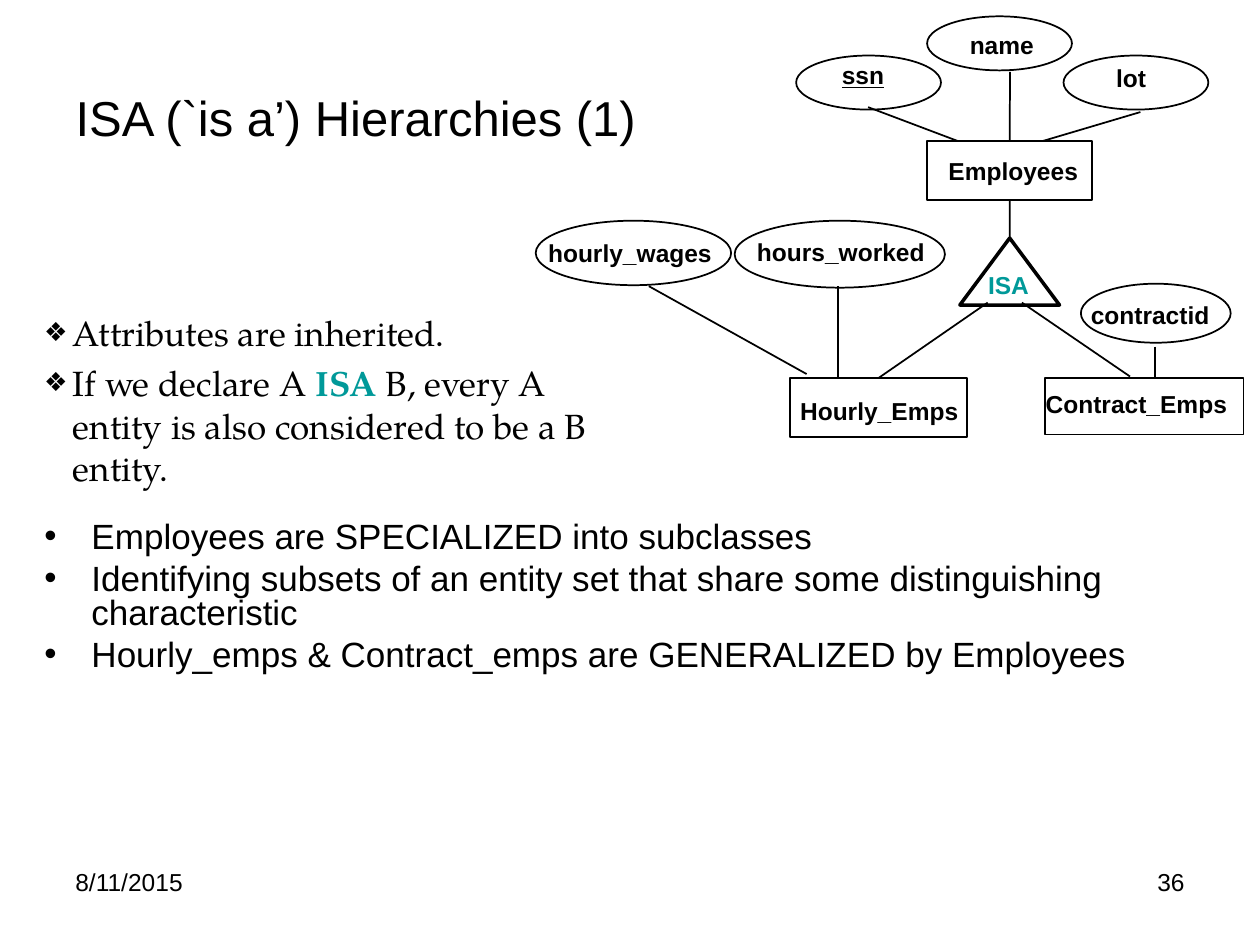
from lxml.etree import SubElement
from pptx import Presentation
from pptx.dml.color import RGBColor
from pptx.enum.shapes import MSO_CONNECTOR, MSO_SHAPE
from pptx.enum.text import MSO_ANCHOR, MSO_AUTO_SIZE, PP_ALIGN
from pptx.oxml.ns import qn
from pptx.util import Cm, Pt

BLACK = RGBColor(0x00, 0x00, 0x00)
TEAL = RGBColor(0x00, 0x99, 0x99)
SANS = "Arial"
SERIF = "TeX Gyre Pagella"
TOP, BOTTOM = 0, 2

# Name: (left, top, width, height) of the outline, (left, top, width) of its label
ATTRIBUTES = {
    "name": ((18.69, 0.33, 2.92, 1.09), (19.3, 0.48, 1.85)),
    "ssn": ((16.05, 1.12, 2.92, 1.09), (16.72, 1.09, 1.45)),
    "lot": ((21.44, 1.12, 2.92, 1.09), (22.25, 1.14, 1.2)),
    "hourly_wages": ((10.8, 4.45, 3.94, 1.3), (10.8, 4.67, 3.85)),
    "hours_worked": ((14.81, 4.45, 4.24, 1.35), (15.01, 4.65, 3.95)),
    "contractid": ((21.79, 5.72, 3.02, 1.19), (21.74, 5.92, 2.95)),
}
ENTITIES = {
    "Employees": ((18.69, 2.84, 3.33, 1.19), (18.87, 3.02, 3.15)),
    "Hourly_Emps": ((15.93, 7.62, 3.56, 1.19), (15.88, 7.85, 3.75)),
    "Contract_Emps": ((21.06, 7.62, 4.01, 1.14), (20.83, 7.72, 4.2)),
}
ISA_OUTLINE, ISA_LABEL = (19.35, 4.8, 2.01, 1.35), (19.67, 5.31, 1.4)

# Links that meet an entity away from the middle of its side
FREE_LINKS = [
    (17.5, 2.16, 19.3, 2.84),
    (22.99, 2.26, 21.03, 2.84),
    (13.08, 5.77, 16.26, 7.54),
    (16.89, 5.77, 16.89, 7.62),
    (20.6, 6.1, 22.78, 7.59),
    (23.29, 6.99, 23.29, 7.62),
]

INHERITED = [
    [("Attributes are inherited.", False)],
    [
        ("If we declare A ", False),
        ("ISA", True),
        (" B, every A entity is also considered to be a B entity.", False),
    ],
]
SPECIALIZATION = [
    "Employees are SPECIALIZED into subclasses",
    "Identifying subsets of an entity set that share some distinguishing characteristic",
    "Hourly_emps & Contract_emps are GENERALIZED by Employees",
]


def lengths(values):
    return [Cm(value) for value in values]


def add_run(paragraph, text, size, font=SANS, color=BLACK, bold=False, underline=None):
    run = paragraph.add_run()
    run.text = text
    run.font.name = font
    run.font.size = Pt(size)
    run.font.color.rgb = color
    run.font.bold = bold
    run.font.underline = underline


def add_text_box(slide, left, top, width, height, wrap=True):
    box = slide.shapes.add_textbox(*lengths((left, top, width, height)))
    box.text_frame.word_wrap = wrap
    return box.text_frame


def add_label(slide, place, text, **style):
    frame = add_text_box(slide, *place, 0.84, wrap=False)
    frame.auto_size = MSO_AUTO_SIZE.SHAPE_TO_FIT_TEXT
    add_run(frame.paragraphs[0], text, 14, bold=True, **style)


def add_outline(slide, preset, place, weight=1):
    outline = slide.shapes.add_shape(preset, *lengths(place))
    outline.shadow.inherit = False
    outline.fill.background()
    outline.line.color.rgb = BLACK
    outline.line.width = Pt(weight)
    return outline


def add_link(slide, x1, y1, x2, y2):
    link = slide.shapes.add_connector(MSO_CONNECTOR.STRAIGHT, *lengths((x1, y1, x2, y2)))
    link.line.color.rgb = BLACK
    link.line.width = Pt(1)
    SubElement(link._element.spPr, qn("a:effectLst"))
    return link


def place_placeholder(placeholder, left, top, width, height):
    placeholder.left, placeholder.top, placeholder.width, placeholder.height = lengths(
        (left, top, width, height)
    )
    placeholder.text_frame.auto_size = MSO_AUTO_SIZE.NONE
    return placeholder.text_frame


def add_bullet(frame, index, symbol, indent, percent=100):
    """Return the paragraph at index with a hanging bullet; percent is the bullet size."""
    paragraph = frame.add_paragraph() if index else frame.paragraphs[0]
    properties = paragraph._p.get_or_add_pPr()
    properties.set("marL", str(Cm(indent)))
    properties.set("indent", str(-Cm(indent)))
    SubElement(properties, qn("a:buSzPct"), val=str(percent * 1000))
    SubElement(properties, qn("a:buFont"), typeface=SANS)
    SubElement(properties, qn("a:buChar"), char=symbol)
    paragraph.space_before = Pt(5 if index else 0)
    return paragraph


def add_title(slide):
    frame = place_placeholder(slide.shapes.title, 1.27, 0.76, 22.86, 3.18)
    frame.vertical_anchor = MSO_ANCHOR.MIDDLE
    frame.paragraphs[0].alignment = PP_ALIGN.LEFT
    add_run(frame.paragraphs[0], "ISA (`is a’) Hierarchies (1)", 28)


def add_diagram(slide):
    for name, (place, label) in ATTRIBUTES.items():
        add_outline(slide, MSO_SHAPE.OVAL, place)
        add_label(slide, label, name, underline=True if name == "ssn" else None)

    entities = {}
    for name, (place, label) in ENTITIES.items():
        entities[name] = add_outline(slide, MSO_SHAPE.RECTANGLE, place)
        add_label(slide, label, name)

    isa = add_outline(slide, MSO_SHAPE.ISOSCELES_TRIANGLE, ISA_OUTLINE, weight=2)
    add_label(slide, ISA_LABEL, "ISA", color=TEAL)

    for ends in FREE_LINKS:
        add_link(slide, *ends)
    name_link = add_link(slide, 20.36, 1.45, 20.36, 2.84)
    name_link.end_connect(entities["Employees"], TOP)
    hourly_link = add_link(slide, 19.91, 6.1, 17.71, 7.62)
    hourly_link.end_connect(entities["Hourly_Emps"], TOP)
    isa_link = add_link(slide, 20.36, 4.03, 20.36, 4.8)
    isa_link.begin_connect(entities["Employees"], BOTTOM)
    isa_link.end_connect(isa, TOP)


def add_inheritance_notes(slide):
    frame = add_text_box(slide, 0.64, 6.15, 11.63, 3.81)
    for index, parts in enumerate(INHERITED):
        paragraph = add_bullet(frame, index, "❖", 0.58, percent=75)
        for text, is_term in parts:
            add_run(paragraph, text, 20, SERIF, TEAL if is_term else BLACK, is_term)


def add_specialization_list(slide):
    frame = place_placeholder(slide.placeholders[1], 0.64, 10.41, 23.93, 7.59)
    for index, text in enumerate(SPECIALIZATION):
        paragraph = add_bullet(frame, index, "•", 0.95)
        paragraph.line_spacing = 0.8
        add_run(paragraph, text, 20)


def add_footer(slide, left, text, alignment):
    paragraph = add_text_box(slide, left, 17.35, 5.92, 1.32).paragraphs[0]
    paragraph.alignment = alignment
    add_run(paragraph, text, 14)


def main():
    deck = Presentation()
    deck.slide_width, deck.slide_height = lengths((25.4, 19.05))
    slide = deck.slides.add_slide(deck.slide_layouts[1])
    add_title(slide)
    add_diagram(slide)
    add_inheritance_notes(slide)
    add_specialization_list(slide)
    add_footer(slide, 18.21, "36", PP_ALIGN.RIGHT)
    add_footer(slide, 1.27, "8/11/2015", PP_ALIGN.LEFT)
    deck.save("out.pptx")


if __name__ == "__main__":
    main()
